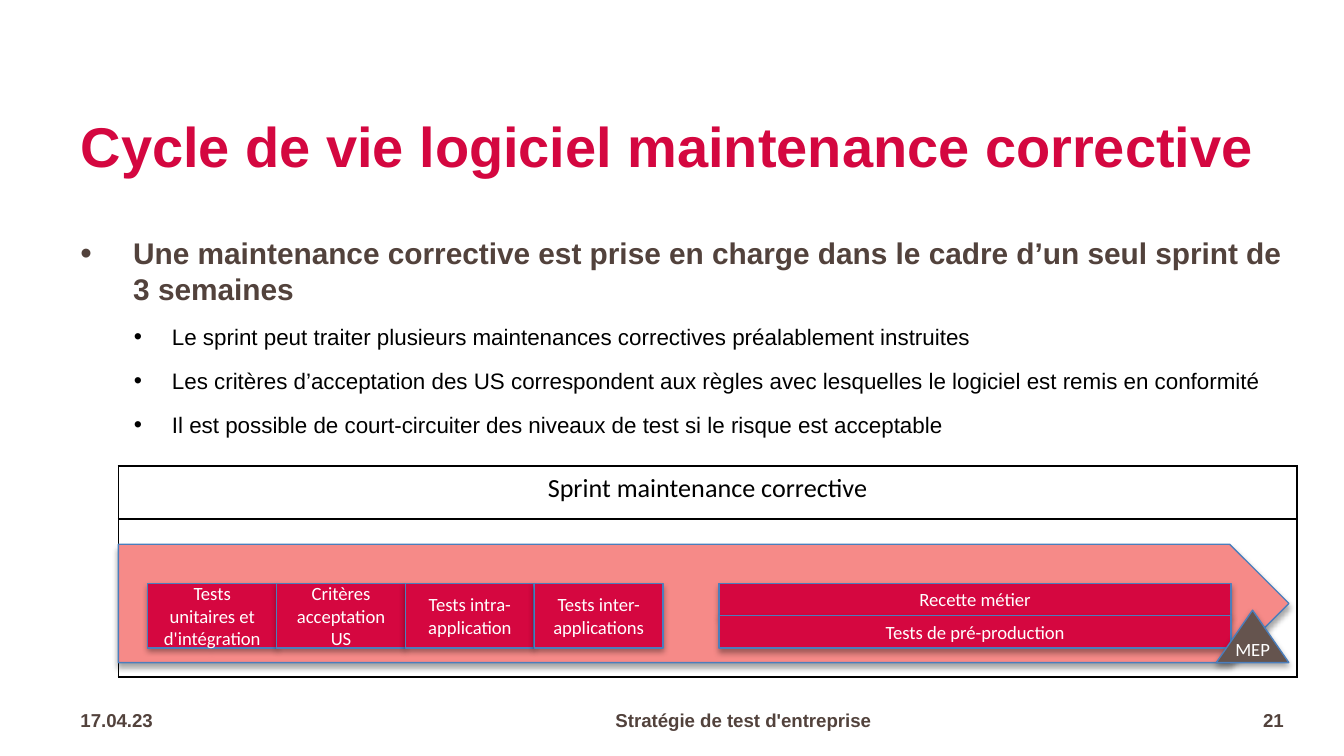
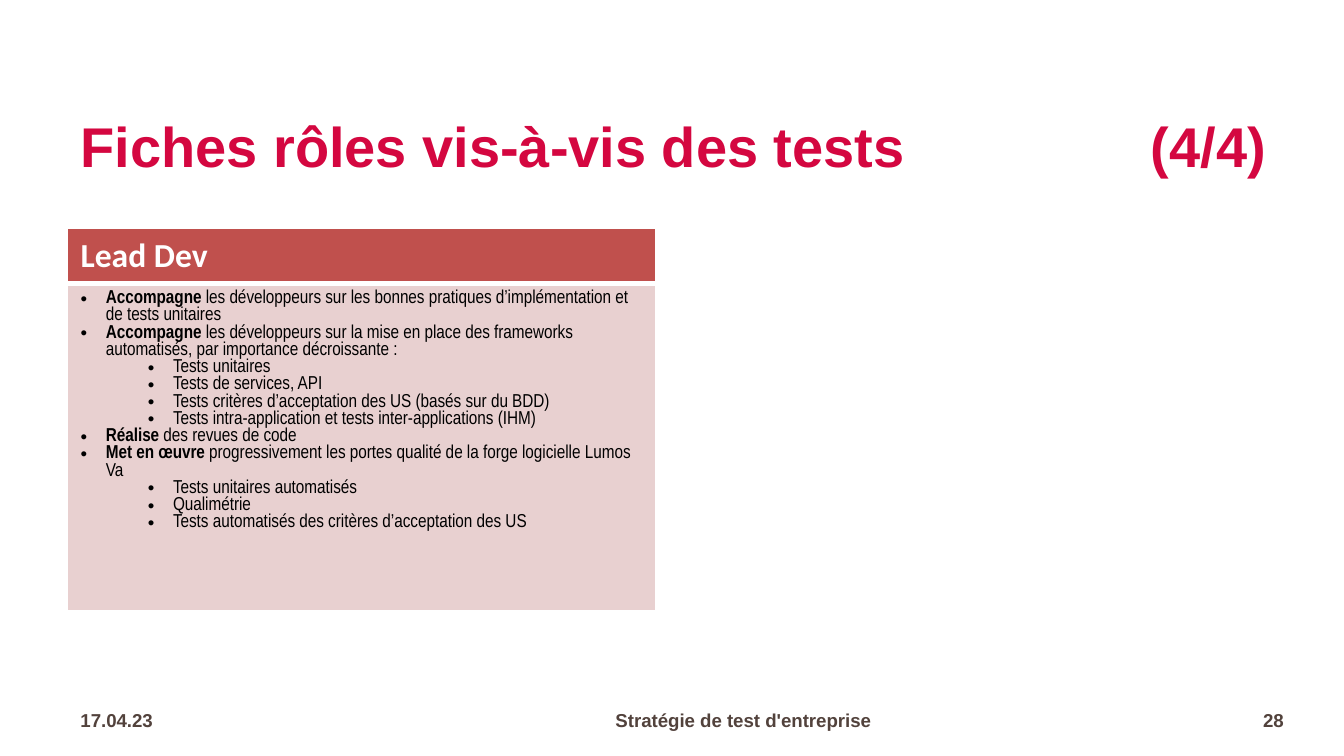
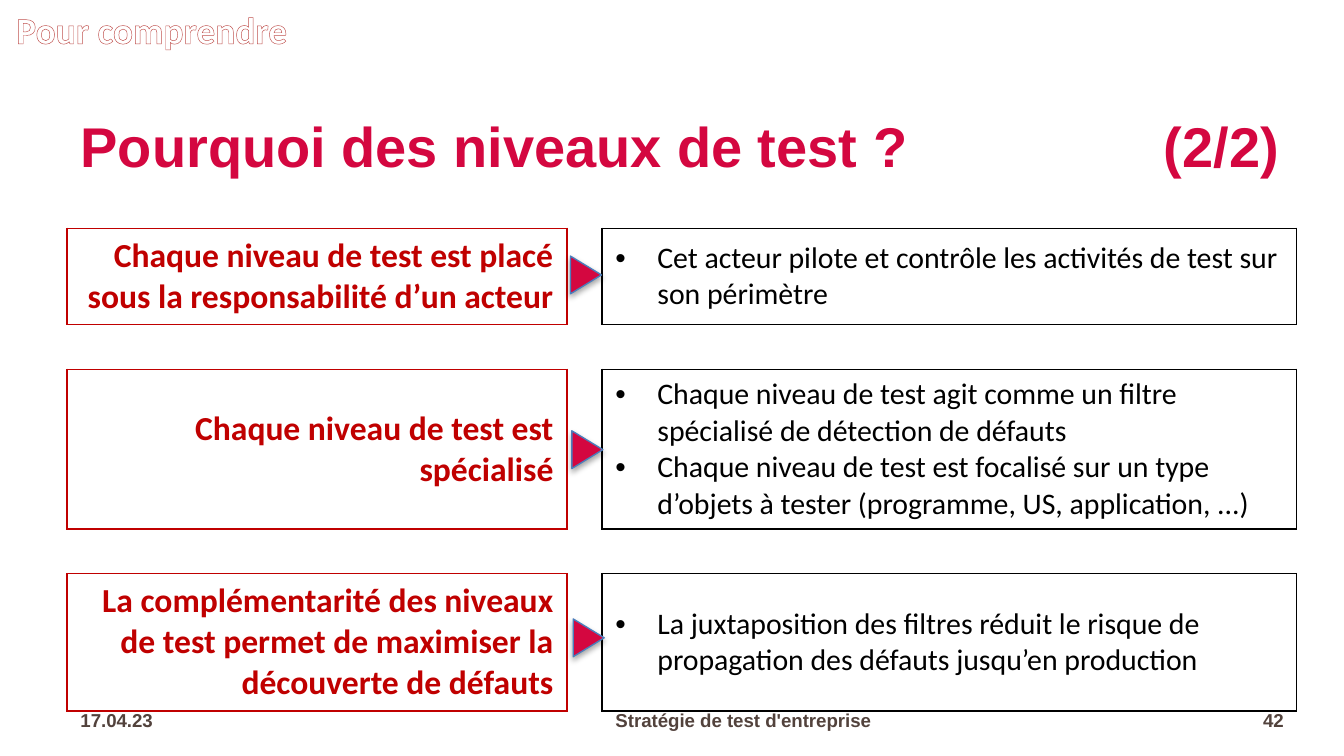
from dataclasses import dataclass

from lxml import etree
from pptx import Presentation
from pptx.dml.color import RGBColor
from pptx.enum import shapes, text
from pptx.oxml import ns
from pptx.util import Pt


@dataclass(frozen=True)
class Theme:
    title: str = "D40740"
    block: str = "D50740"
    brown: str = "52423C"
    milestone: str = "65544E"
    arrow: str = "F68A88"
    outline: str = "4B7EBC"
    role: str = "C0504D"
    role_tint: str = "E8D0D0"
    level: str = "C00000"
    black: str = "000000"
    white: str = "FFFFFF"
    heading_font: str = "Arial"
    narrow_font: str = "Arial Narrow"
    body_font: str = "Calibri"
    title_size: int = 30
    label_size: int = 20
    level_size: int = 18
    lead_size: int = 16
    caption_size: int = 14
    detail_size: int = 12
    small_size: int = 10


theme = Theme()
LEFT, CENTER, RIGHT = text.PP_ALIGN.LEFT, text.PP_ALIGN.CENTER, text.PP_ALIGN.RIGHT
MIDDLE = text.MSO_ANCHOR.MIDDLE
NO_TABLE_STYLE = "{2D5ABB26-0587-4C30-8999-92F81FD0307C}"


def write(paragraph, words, size, color, font=theme.body_font, bold=False,
          align=LEFT, bullet=None, lead=""):
    """Fill a paragraph; bullet is (indent, hanging, size in %), lead is a bold start."""
    if bullet:
        indent, hanging, percent = bullet
        props = paragraph._p.get_or_add_pPr()
        props.set("marL", str(Pt(indent)))
        props.set("indent", str(-Pt(hanging)))
        etree.SubElement(props, ns.qn("a:buSzPct"), val=str(percent * 1000))
        etree.SubElement(props, ns.qn("a:buFont"), typeface=theme.heading_font)
        etree.SubElement(props, ns.qn("a:buChar"), char="•")
    paragraph.alignment = align
    paragraph.font.size = Pt(size)
    paragraph.font.name = font
    paragraph.font.bold = bold
    paragraph.font.color.rgb = RGBColor.from_string(color)
    if lead:
        run = paragraph.add_run()
        run.text = lead
        run.font.bold = True
    paragraph.add_run().text = words


def add_block(slide, kind, left, top, width, height, fill, words=""):
    """Add an outlined shape that keeps the soft shadow of the theme."""
    block = slide.shapes.add_shape(kind, Pt(left), Pt(top), Pt(width), Pt(height))
    block.fill.solid()
    block.fill.fore_color.rgb = RGBColor.from_string(fill)
    block.line.color.rgb = RGBColor.from_string(theme.outline)
    block.line.width = Pt(0.75)
    if words:
        write(block.text_frame.paragraphs[0], words, theme.small_size, theme.white, align=CENTER)
    return block


prs = Presentation()
prs.slide_width, prs.slide_height = Pt(720), Pt(405)

# Slides with their titles and footers: title, right tab stop, page number
pages = [
    ("Cycle de vie logiciel maintenance corrective", 642, "21"),
    ("Fiches rôles vis-à-vis des tests\t(4/4)", 635, "28"),
    ("Pourquoi des niveaux de test ?\t(2/2)", 642, "42"),
]
for heading, tab_stop, number in pages:
    slide = prs.slides.add_slide(prs.slide_layouts[5])
    title = slide.shapes.title
    title.left, title.top, title.width, title.height = Pt(36), Pt(42.5), Pt(658.8), Pt(75)
    title.text_frame.auto_size = text.MSO_AUTO_SIZE.NONE
    title.text_frame.vertical_anchor = MIDDLE
    line = title.text_frame.paragraphs[0]
    tabs = etree.SubElement(line._p.get_or_add_pPr(), ns.qn("a:tabLst"))
    etree.SubElement(tabs, ns.qn("a:tab"), pos=str(Pt(tab_stop)), algn="r")
    write(line, heading, theme.title_size, theme.title, theme.heading_font, True)
    line.line_spacing = 0.9

    for words, left, width, align in [
        ("17.04.23", 36, 102.2, LEFT),
        ("Stratégie de test d'entreprise", 140.4, 515.5, CENTER),
        (number, 657.4, 37.4, RIGHT),
    ]:
        footer = slide.shapes.add_textbox(Pt(left), Pt(375), Pt(width), Pt(21.6)).text_frame
        footer.word_wrap = True
        footer.vertical_anchor = MIDDLE
        write(footer.paragraphs[0], words, theme.small_size, theme.brown,
              theme.heading_font, True, align)

cycle, roles, levels = prs.slides

# Tables: slide, left, top, column widths, row heights
tables = []
for slide, left, top, columns, rows in [
    (cycle, 63.4, 249.8, [631.4], [28.3, 84.5]),
    (roles, 36, 122.4, [315.4, 27.4, 316], [29.5, 29.5]),
    (levels, 36, 122.4, [267.8, 18.7, 372.2], [51.5, 24, 85.5, 24, 73.5]),
]:
    table = slide.shapes.add_table(len(rows), len(columns), Pt(left), Pt(top),
                                   Pt(sum(columns)), Pt(sum(rows))).table
    table._tbl.tblPr.find(ns.qn("a:tableStyleId")).text = NO_TABLE_STYLE
    table.first_row = table.horz_banding = False
    for column, width in zip(table.columns, columns):
        column.width = Pt(width)
    for row, height in zip(table.rows, rows):
        row.height = Pt(height)
    tables.append(table)
sprint_table, role_table, level_table = tables

cell_looks = []  # cell, border colour, bottom border width, fill
cell_looks += [(cell, theme.black, 1, None) for cell in sprint_table.iter_cells()]
for column in range(3):
    first = column == 0
    cell_looks.append((role_table.cell(0, column), theme.white, 3, theme.role if first else None))
    cell_looks.append((role_table.cell(1, column), theme.white, 1, theme.role_tint if first else None))
for row in range(5):
    for column, edge in enumerate([theme.level, None, theme.black]):
        cell_looks.append((level_table.cell(row, column), None if row % 2 else edge, 1, None))

for cell, edge, bottom, fill in cell_looks:
    if edge:
        for side, width in [("lnL", 1), ("lnR", 1), ("lnT", 1), ("lnB", bottom)]:
            border = etree.SubElement(cell._tc.get_or_add_tcPr(), ns.qn(f"a:{side}"), w=str(Pt(width)))
            paint = etree.SubElement(border, ns.qn("a:solidFill"))
            etree.SubElement(paint, ns.qn("a:srgbClr"), val=edge)
    if fill:
        cell.fill.solid()
        cell.fill.fore_color.rgb = RGBColor.from_string(fill)
    else:
        cell.fill.background()

# Corrective maintenance cycle
body = cycle.shapes.add_textbox(Pt(36), Pt(122.4), Pt(658.8), Pt(247)).text_frame
body.word_wrap = True
lead = body.paragraphs[0]
write(lead, "Une maintenance corrective est prise en charge dans le cadre d’un seul sprint de 3 semaines",
      theme.lead_size, theme.brown, theme.heading_font, True, bullet=(28.3, 28.3, 110))
lead.space_before = Pt(24)
for words in [
    "Le sprint peut traiter plusieurs maintenances correctives préalablement instruites",
    "Les critères d’acceptation des US correspondent aux règles avec lesquelles le logiciel "
    "est remis en conformité",
    "Il est possible de court-circuiter des niveaux de test si le risque est acceptable",
]:
    detail = body.add_paragraph()
    detail.level = 1
    write(detail, words, theme.detail_size, theme.black, theme.heading_font, bullet=(49, 20.4, 104))
    detail.space_before = Pt(9)

write(sprint_table.cell(0, 0).text_frame.paragraphs[0], "Sprint maintenance corrective",
      theme.caption_size, theme.black, align=CENTER)

RECTANGLE = shapes.MSO_SHAPE.RECTANGLE
add_block(cycle, shapes.MSO_SHAPE.PENTAGON, 63.4, 291.6, 627.1, 63.4, theme.arrow)
for step, words in enumerate([
    "Tests unitaires et d'intégration",
    "Critères acceptation US",
    "Tests intra-application",
    "Tests inter-applications",
]):
    add_block(cycle, RECTANGLE, 79.2 + step * 69, 312.5, 69, 34.6, theme.block, words)
for step, words in enumerate(["Recette métier", "Tests de pré-production"]):
    add_block(cycle, RECTANGLE, 385.2, 312.5 + step * 17.4, 274.3, 17.4, theme.block, words)
release = add_block(cycle, shapes.MSO_SHAPE.FLOWCHART_EXTRACT, 651.6, 326.9, 38.9, 28.1,
                    theme.milestone, "MEP").text_frame
release.margin_left = release.margin_right = release.margin_top = release.margin_bottom = 0

# Role sheet
write(role_table.cell(0, 0).text_frame.paragraphs[0], "Lead Dev",
      theme.level_size, theme.white, bold=True)
duties = role_table.cell(1, 0).text_frame
for index, (level, verb, words) in enumerate([
    (0, "Accompagne", " les développeurs sur les bonnes pratiques d’implémentation et de tests unitaires"),
    (0, "Accompagne", " les développeurs sur la mise en place des frameworks automatisés, "
                      "par importance décroissante :"),
    (1, "", "Tests unitaires"),
    (1, "", "Tests de services, API"),
    (1, "", "Tests critères d’acceptation des US (basés sur du BDD)"),
    (1, "", "Tests intra-application et tests inter-applications (IHM)"),
    (0, "Réalise", " des revues de code"),
    (0, "Met en œuvre ", "progressivement les portes qualité de la forge logicielle Lumos Va"),
    (1, "", "Tests unitaires automatisés"),
    (1, "", "Qualimétrie"),
    (1, "", "Tests automatisés des critères d’acceptation des US"),
]):
    duty = duties.add_paragraph() if index else duties.paragraphs[0]
    duty.level = level
    write(duty, words, theme.small_size, theme.black, theme.narrow_font,
          bullet=(13.5 + 36 * level, 13.5, 100), lead=verb)

# Reasons for test levels
for index, (statement, reasons, pointer_top) in enumerate([
    ("Chaque niveau de test est placé sous la responsabilité d’un acteur",
     ["Cet acteur pilote et contrôle les activités de test sur son périmètre"], 139),
    ("Chaque niveau de test est spécialisé",
     ["Chaque niveau de test agit comme un filtre spécialisé de détection de défauts",
      "Chaque niveau de test est focalisé sur un type d’objets à tester "
      "(programme, US, application, ...)"], 232.6),
    ("La complémentarité des niveaux de test permet de maximiser la découverte de défauts",
     ["La juxtaposition des filtres réduit le risque de propagation des défauts jusqu’en production"],
     333.4),
]):
    statement_cell = level_table.cell(index * 2, 0)
    reason_cell = level_table.cell(index * 2, 2)
    statement_cell.vertical_anchor = reason_cell.vertical_anchor = MIDDLE
    write(statement_cell.text_frame.paragraphs[0], statement, theme.level_size, theme.level,
          bold=True, align=RIGHT)
    for order, reason in enumerate(reasons):
        frame = reason_cell.text_frame
        write(frame.add_paragraph() if order else frame.paragraphs[0], reason,
              theme.lead_size, theme.black, bullet=(22.5, 22.5, 100))
    pointer = add_block(levels, shapes.MSO_SHAPE.ISOSCELES_TRIANGLE, 303.8 + 0.75 * index,
                        pointer_top, 20.2, 16.6, theme.title)
    pointer.rotation = 90

for row in (1, 3):
    for column in range(3):
        gap = level_table.cell(row, column)
        gap.margin_top = gap.margin_bottom = 0
        gap.text_frame.paragraphs[0].font.size = Pt(theme.caption_size)

label = levels.shapes.add_textbox(0, 0, Pt(162.7), Pt(31.7)).text_frame
label.word_wrap = True
label.auto_size = text.MSO_AUTO_SIZE.SHAPE_TO_FIT_TEXT
write(label.paragraphs[0], "Pour comprendre", theme.label_size, theme.white, bold=True, align=CENTER)
contour = etree.Element(ns.qn("a:ln"), w=str(Pt(0.52)))
contour_paint = etree.SubElement(contour, ns.qn("a:solidFill"))
etree.SubElement(contour_paint, ns.qn("a:srgbClr"), val=theme.role)
label.paragraphs[0].runs[0]._r.get_or_add_rPr().insert(0, contour)

prs.save("out.pptx")
